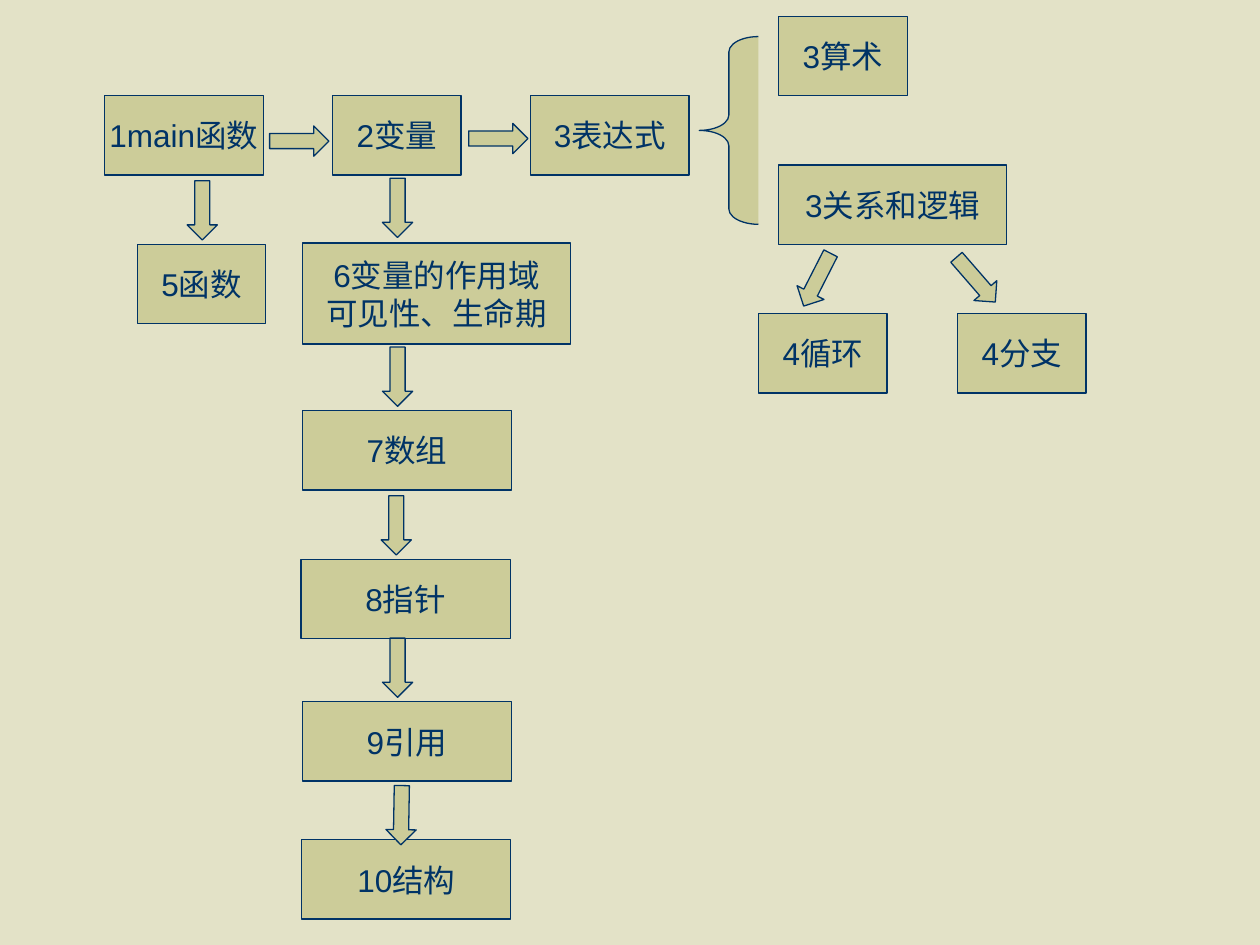
import pptx
import pptx.dml.color
import pptx.enum.shapes
import pptx.enum.text
import pptx.util

COLUMNS, ROWS = 100, 75
WIDTH, HEIGHT = pptx.util.Inches(10), pptx.util.Inches(7.5)
SAND, KHAKI, NAVY = "E3E2C7", "CCCC99", "003366"
BOX_HEIGHT = 6.3
ARROW_WIDTH, ARROW_HEIGHT = 4.7, 2.4
SHAPES = pptx.enum.shapes.MSO_SHAPE


def paint(color_holder, color):
    """Give a fill or line format a solid hex colour."""
    color_holder.solid()
    color_holder.fore_color.rgb = pptx.dml.color.RGBColor.from_string(color)


def add_outlined(slide, kind, column, row, columns, rows):
    """Add a preset shape placed on the grid in the diagram's colours."""
    shape = slide.shapes.add_shape(
        kind,
        round(WIDTH * column / COLUMNS),
        round(HEIGHT * row / ROWS),
        round(WIDTH * columns / COLUMNS),
        round(HEIGHT * rows / ROWS),
    )
    shape.shadow.inherit = False
    paint(shape.fill, KHAKI)
    paint(shape.line.fill, NAVY)
    shape.line.width = pptx.util.Pt(0.75)
    return shape


def write_text(shape, text, size=18, font="Arial", color=NAVY):
    """Write centred lines of text into a shape."""
    frame = shape.text_frame
    frame.word_wrap = False
    frame.vertical_anchor = pptx.enum.text.MSO_ANCHOR.MIDDLE
    frame.text = text
    for paragraph in frame.paragraphs:
        paragraph.alignment = pptx.enum.text.PP_ALIGN.CENTER
        for run in paragraph.runs:
            run.font.size = pptx.util.Pt(size)
            run.font.name = font
            paint(run.font.fill, color)


def add_topic(slide, text, column, row, columns=10.2, rows=BOX_HEIGHT):
    """Add a labelled topic box."""
    box = add_outlined(slide, SHAPES.RECTANGLE, column, row, columns, rows)
    write_text(box, text)


def add_arrow(slide, column, row, rotation=0):
    """Add a block arrow turned clockwise by the given degrees."""
    arrow = add_outlined(slide, SHAPES.RIGHT_ARROW, column, row, ARROW_WIDTH, ARROW_HEIGHT)
    arrow.rotation = rotation


def add_brace(slide, column, row, columns, rows):
    """Add the brace that opens the expression branch."""
    brace = add_outlined(slide, SHAPES.LEFT_BRACE, column, row, columns, rows)
    brace.adjustments[0] = 0.26


def main():
    """Build the course topic map."""
    presentation = pptx.Presentation()
    presentation.slide_width, presentation.slide_height = WIDTH, HEIGHT
    slide = presentation.slides.add_slide(presentation.slide_layouts[6])
    paint(slide.background.fill, SAND)

    add_topic(slide, "1main函数", 8.3, 7.6, 12.6)
    add_topic(slide, "2变量", 26.4, 7.6)
    add_arrow(slide, 21.4, 10)
    add_topic(slide, "3表达式", 42.1, 7.6, 12.6)
    add_arrow(slide, 37.2, 9.8)

    add_topic(slide, "4分支", 76, 24.9)
    add_arrow(slide, 75.1, 21, 49)
    add_topic(slide, "4循环", 60.2, 24.9)
    add_arrow(slide, 62.5, 21, 117)
    add_topic(slide, "3算术", 61.8, 1.3)
    add_topic(slide, "3关系和逻辑", 61.8, 13.1, 18.1)
    add_brace(slide, 55.5, 2.9, 4.7, 14.9)

    add_topic(slide, "5函数", 10.9, 19.4)
    add_arrow(slide, 13.7, 15.5, 90)
    add_topic(slide, "6变量的作用域\n可见性、生命期", 24, 19.3, 21.3, 8)
    add_arrow(slide, 29.2, 15.3, 90)

    spine = [
        ("7数组", 24, 32.6, 29.2, 28.7, 90),
        ("8指针", 23.9, 44.4, 29.1, 40.5, 90),
        ("9引用", 24, 55.7, 29.2, 51.8, 90),
        ("10结构", 23.95, 66.65, 29.5, 63.5, 91),
    ]
    for text, column, row, arrow_column, arrow_row, rotation in spine:
        add_topic(slide, text, column, row, 16.6)
        add_arrow(slide, arrow_column, arrow_row, rotation)

    presentation.save("out.pptx")


if __name__ == "__main__":
    main()
